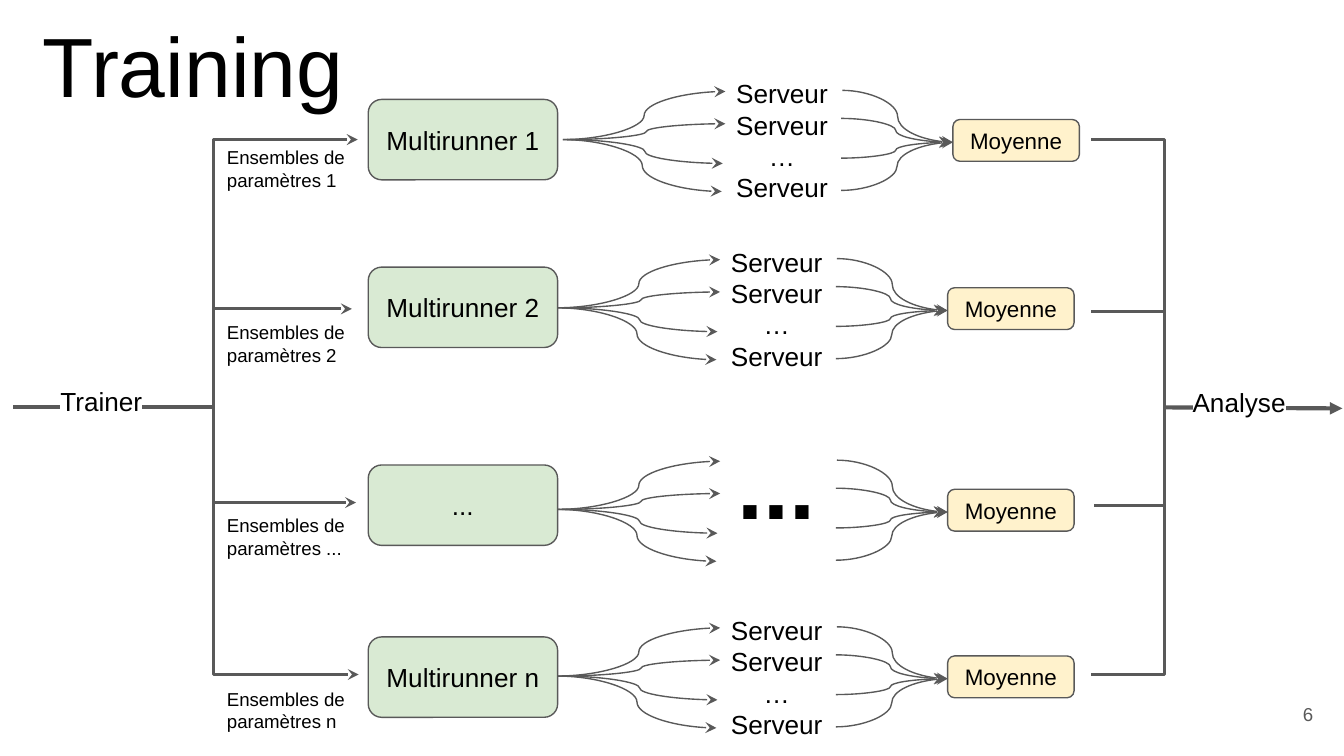
from lxml.etree import SubElement
from pptx import Presentation
from pptx.dml.color import RGBColor
from pptx.enum.shapes import MSO_CONNECTOR as LINE, MSO_SHAPE as SHAPE
from pptx.enum.text import MSO_ANCHOR as ANCHOR, MSO_AUTO_SIZE as FIT, PP_ALIGN as ALIGN
from pptx.oxml.ns import qn
from pptx.util import Cm, Pt

BLACK = RGBColor(0x00, 0x00, 0x00)
GRAY = RGBColor(0x59, 0x59, 0x59)
GREEN = RGBColor(0xD9, 0xEA, 0xD3)
YELLOW = RGBColor(0xFF, 0xF2, 0xCC)
FONT = "Arial"

# Content, with places in cm
TITLE = "Training"
SERVERS = ["Serveur", "Serveur", "…", "Serveur"]
# runner, parameter set, servers, runner top, label top, fan axis, fan shift
ROWS = [
    ("Multirunner 1", "1", SERVERS, 1.88, 2.51, 2.64, 0.1),
    ("Multirunner 2", "2", SERVERS, 5.05, 5.82, 5.82, 0),
    ("...", "...", None, 8.79, 9.47, 9.63, 0),
    ("Multirunner n", "n", SERVERS, 12.04, 12.75, 12.78, 0),
]
# Outer ends of the branches (x, y), and the trunks where they bend
LEFT_ENDS = [(6.76, 2.64), (6.65, 5.84), (6.73, 9.5), (6.78, 12.75)]
RIGHT_ENDS = [(20.62, 2.64), (20.62, 5.89), (20.68, 9.55), (20.62, 12.75)]
LEFT_TRUNK, RIGHT_TRUNK, MAIN_Y = 4.03, 22.01, 7.7
# Fan curves: start x, end x, rise or fall
FAN_OUT = [(10.54, 13.61, -0.91), (10.54, 13.54, 0.98),
           (10.62, 13.61, -0.3), (10.62, 13.56, 0.45)]
FAN_IN = [(17.91, 15.8, 0.91), (17.91, 15.82, -0.98),
          (17.86, 15.8, 0.3), (17.86, 15.8, -0.45)]

prs = Presentation()
prs.slide_width, prs.slide_height = Cm(25.4), Cm(14.29)
s = prs.slides.add_slide(prs.slide_layouts[5])


def write(sp, lines, size, align=ALIGN.CENTER, anchor=ANCHOR.TOP,
          color=BLACK, bold=False, highlight=None):
    tf = sp.text_frame
    tf.word_wrap, tf.auto_size, tf.vertical_anchor = True, FIT.NONE, anchor
    tf.margin_left = tf.margin_right = tf.margin_top = tf.margin_bottom = Cm(0.25)
    for i, line in enumerate(lines):
        p = tf.add_paragraph() if i else tf.paragraphs[0]
        p.alignment = align
        r = p.add_run()
        r.text = line
        r.font.size, r.font.bold, r.font.color.rgb = Pt(size), bold, color
        if highlight:
            mark = SubElement(r.font._element, qn("a:highlight"))
            SubElement(mark, qn("a:srgbClr"), val=highlight)
        r.font.name = FONT


def add_text(x, y, w, h, lines, size, **style):
    write(s.shapes.add_textbox(Cm(x), Cm(y), Cm(w), Cm(h)), lines, size, **style)


def add_box(x, y, w, h, text, size, fill):
    sp = s.shapes.add_shape(SHAPE.ROUNDED_RECTANGLE, Cm(x), Cm(y), Cm(w), Cm(h))
    sp.shadow.inherit = False
    sp.fill.solid()
    sp.fill.fore_color.rgb = fill
    sp.line.color.rgb, sp.line.width = GRAY, Pt(0.75)
    write(sp, [text], size, anchor=ANCHOR.MIDDLE)


def add_line(kind, x1, y1, x2, y2, width, end=None, arrow="stealth"):
    cx = s.shapes.add_connector(kind, Cm(x1), Cm(y1), Cm(x2), Cm(y2))
    cx.line.color.rgb, cx.line.width = GRAY, Pt(width)
    if end:
        SubElement(cx.line._get_or_add_ln(), qn("a:" + end), type=arrow)
    SubElement(cx._element.spPr, qn("a:effectLst"))


# Title
title = s.shapes.title
title.left, title.top, title.width, title.height = Cm(0.56), Cm(0), Cm(14), Cm(2.84)
write(title, [TITLE], 45, align=ALIGN.LEFT)

# Branches: each start mirrors its end about the trunk
for trunk, ends, end in ((LEFT_TRUNK, LEFT_ENDS, "tailEnd"),
                         (RIGHT_TRUNK, RIGHT_ENDS, None)):
    for x, y in ends:
        add_line(LINE.ELBOW, 2 * trunk - x, MAIN_Y, x, y, 1.5, end)

# Rows: runner, fan out, servers, fan in, mean
for runner, params, servers, top, label_top, axis, dx in ROWS:
    add_box(6.96, top, 3.58, 1.52, runner, 14, GREEN)
    if servers:
        add_text(13.18 + dx, axis - 1.42, 3, 2.84, servers, 14)
    else:
        add_text(13.18, axis - 1.83, 3, 2.03, ["..."], 50, bold=True)
    for fan, y, end in ((FAN_OUT, axis, "tailEnd"), (FAN_IN, axis + 0.05, "headEnd")):
        for x1, x2, dy in fan:
            add_line(LINE.CURVE, x1 + dx, y, x2 + dx, y + dy, 0.75, end)
    add_box(17.91 + dx, axis - 0.38, 2.39, 0.79, "Moyenne", 12, YELLOW)
    add_text(4.04, label_top, 3.2, 1.3, ["Ensembles de paramètres " + params], 10,
             align=ALIGN.LEFT)

# Main line with its two stages
add_line(LINE.STRAIGHT, RIGHT_TRUNK, MAIN_Y, 25.37, 7.72, 2.25, "tailEnd", "triangle")
add_line(LINE.STRAIGHT, 0.25, MAIN_Y, LEFT_TRUNK, MAIN_Y, 2.25)
add_text(0.86, 7.04, 2.11, 0.79, ["Trainer"], 14, highlight="FFFFFF")
add_text(21.82, 7.06, 3.2, 1.3, ["Analyse"], 14, highlight="FFFFFF")

# Slide number
add_text(23.55, 12.95, 1.52, 1.09, ["6"], 10, align=ALIGN.RIGHT,
         anchor=ANCHOR.MIDDLE, color=GRAY)

prs.save("out.pptx")
